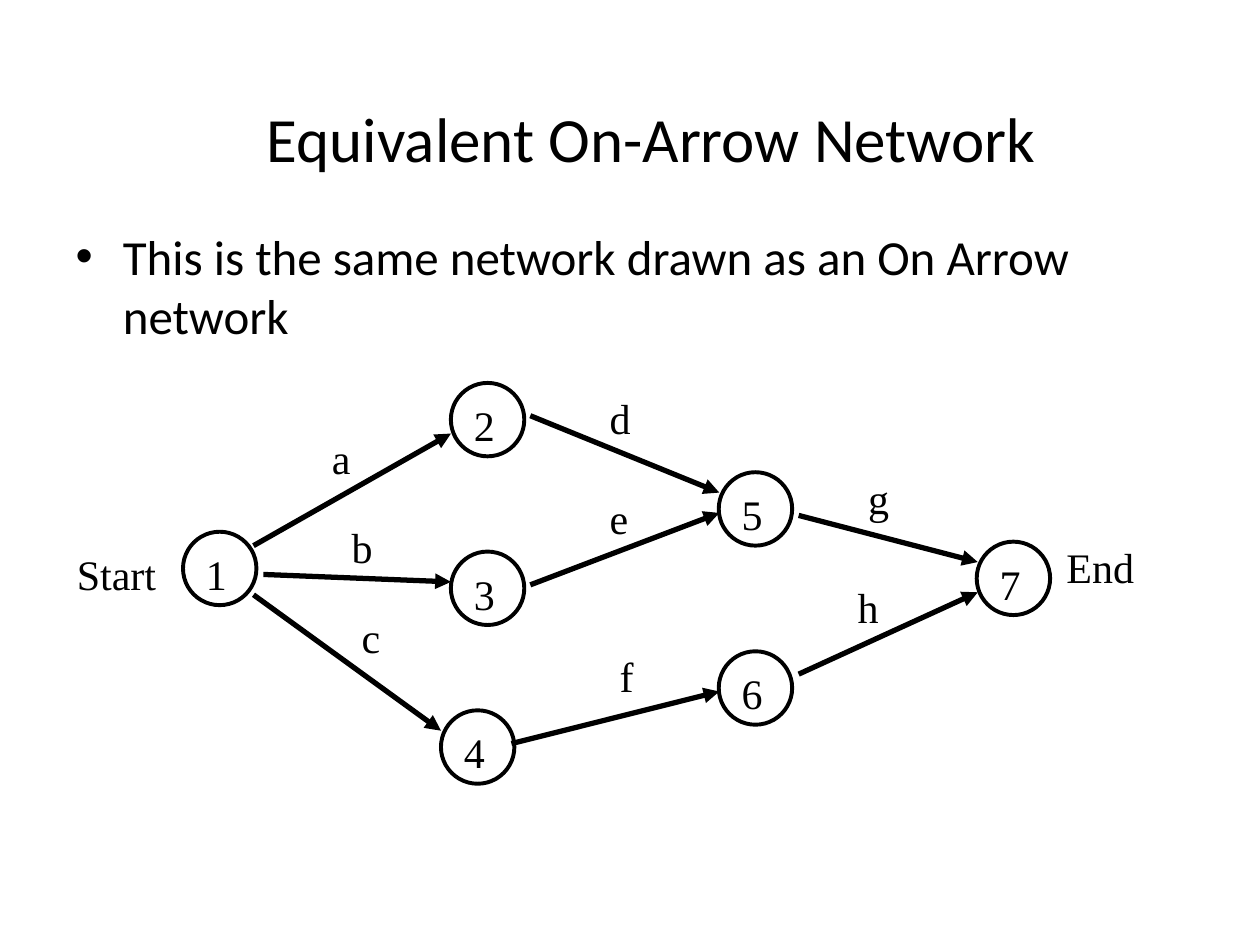
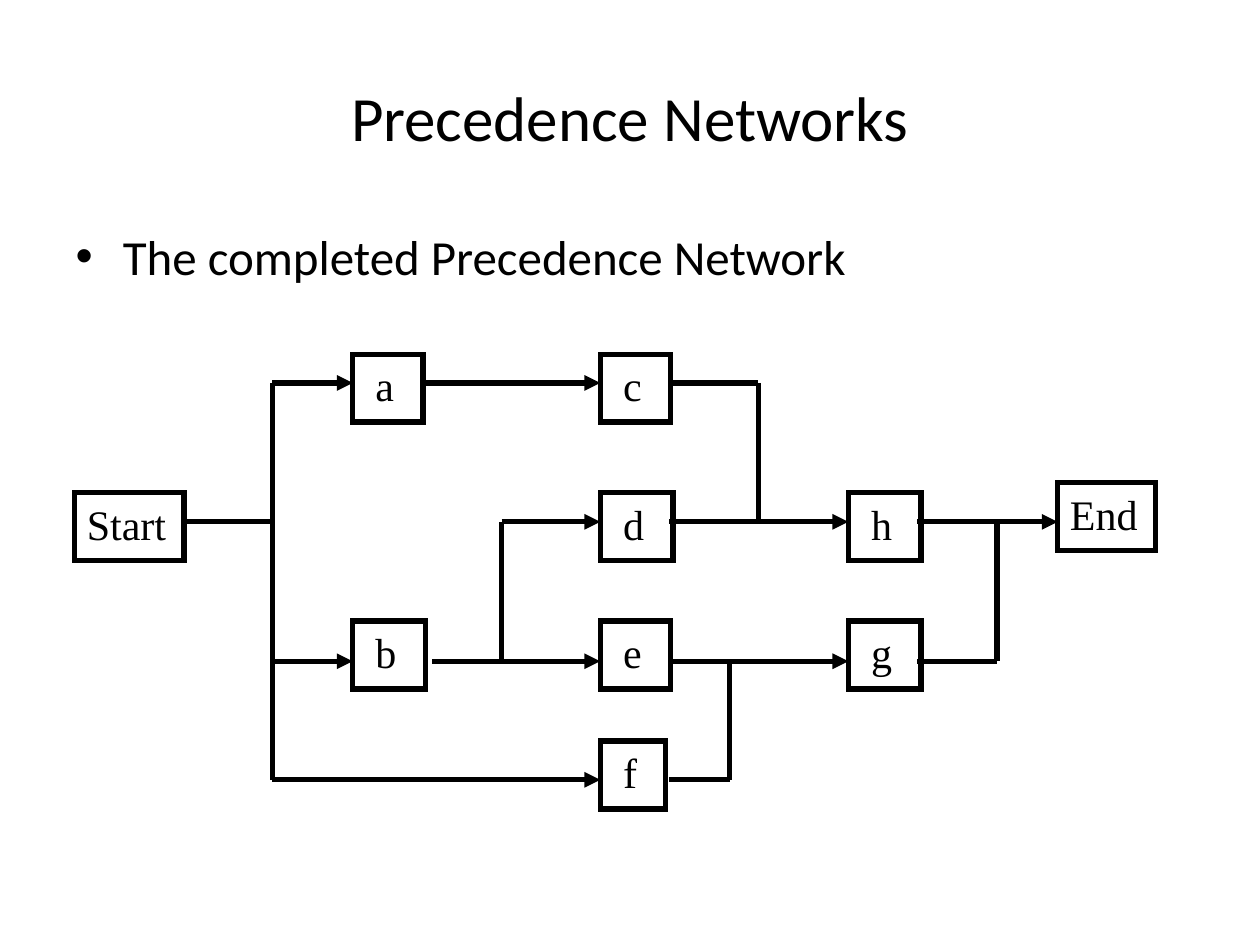
import dataclasses

import pptx
import pptx.dml.color
import pptx.enum.shapes
import pptx.enum.text
import pptx.oxml.ns
import pptx.util
from lxml import etree
from pptx.util import Cm, Pt


@dataclasses.dataclass(frozen=True)
class Theme:
    ink: pptx.dml.color.RGBColor = pptx.dml.color.RGBColor(0, 0, 0)
    heading_font: str = "Calibri"
    diagram_font: str = "Times New Roman"
    title_size: int = 36
    body_size: int = 28
    diagram_size: int = 24
    circle_line: float = 2.25
    heavy_line: float = 3


theme = Theme()
ALIGN = pptx.enum.text.PP_ALIGN
MIDDLE = pptx.enum.text.MSO_ANCHOR.MIDDLE
SHAPES = pptx.enum.shapes.MSO_SHAPE
qualify = pptx.oxml.ns.qn


def write(shape, text, size, font_name, alignment):
    shape.text_frame.text = text
    paragraph = shape.text_frame.paragraphs[0]
    paragraph.alignment = alignment
    font = paragraph.runs[0].font
    font.size, font.name = Pt(size), font_name
    font.color.rgb = theme.ink


def add_line(slide, start, end, arrow):
    """Draw a heavy line between two (x, y) points in cm."""
    line = slide.shapes.add_connector(
        pptx.enum.shapes.MSO_CONNECTOR.STRAIGHT, *[Cm(value) for value in start + end])
    line.line.width = Pt(theme.heavy_line)
    line.line.color.rgb = theme.ink
    properties = line._element.spPr
    if arrow:
        etree.SubElement(properties.find(qualify("a:ln")), qualify("a:tailEnd"), type="triangle")
    etree.SubElement(properties, qualify("a:effectLst"))


presentation = pptx.Presentation()
presentation.slide_width, presentation.slide_height = Cm(25.4), Cm(19.05)

# Titles and lists
pages = [
    ("Equivalent On-Arrow Network",
     "This is the same network drawn as an On Arrow network", 1.7, 1.18),
    ("Precedence Networks", "The completed Precedence Network", 1.27, 0.76),
]
for title_text, body_text, title_left, title_top in pages:
    slide = presentation.slides.add_slide(presentation.slide_layouts[1])
    title, body = slide.placeholders
    title.left, title.top = Cm(title_left), Cm(title_top)
    title.width, title.height = Cm(22.86), Cm(3.18)
    body.left, body.top, body.width, body.height = Cm(1.27), Cm(4.44), Cm(22.86), Cm(12.57)
    write(title, title_text, theme.title_size, theme.heading_font, ALIGN.CENTER)
    write(body, body_text, theme.body_size, theme.heading_font, ALIGN.LEFT)
arrow_slide, precedence_slide = presentation.slides

# On-arrow network: numbered events
diameter = 1.48
event_centres = [(4.43, 11.46), (9.83, 8.46), (9.83, 11.86), (9.63, 15.06),
                 (15.23, 10.26), (15.23, 13.87), (20.43, 11.66)]
for number, (x, y) in enumerate(event_centres, start=1):
    event = arrow_slide.shapes.add_shape(
        SHAPES.OVAL, Cm(x - diameter / 2), Cm(y - diameter / 2), Cm(diameter), Cm(diameter))
    event.shadow.inherit = False
    event.fill.background()
    event.line.color.rgb = theme.ink
    event.line.width = Pt(theme.circle_line)
    frame = event.text_frame
    frame.word_wrap = False
    frame.vertical_anchor = MIDDLE
    frame.margin_left = frame.margin_bottom = 0
    frame.margin_right, frame.margin_top = Cm(0.13), Cm(0.2)
    write(event, str(number), theme.diagram_size, theme.diagram_font, ALIGN.CENTER)

activity_arrows = [
    ((5.11, 11), (9.09, 8.74)), ((5.31, 11.58), (9.09, 11.73)),
    ((5.11, 11.99), (8.89, 14.73)), ((10.69, 8.38), (14.5, 9.93)),
    ((10.69, 11.79), (14.5, 10.34)), ((10.31, 14.99), (14.5, 13.94)),
    ((16.1, 13.59), (19.71, 11.94)), ((16.1, 10.39), (19.71, 11.33)),
]
for start, end in activity_arrows:
    add_line(arrow_slide, start, end, arrow=True)

labels = [
    ("Start", 1.3, 10.94, 2.11), ("End", 21.25, 10.8, 1.88),
    ("a", 6.44, 8.59, 0.89), ("b", 6.84, 10.39, 0.94), ("c", 7.04, 12.2, 0.89),
    ("d", 12.04, 7.79, 0.94), ("e", 12.04, 9.8, 0.89), ("f", 12.24, 12.98, 0.79),
    ("g", 17.25, 9.4, 0.94), ("h", 17.04, 11.59, 0.94),
]
for text, left, top, width in labels:
    label = arrow_slide.shapes.add_textbox(Cm(left), Cm(top), Cm(width), Cm(1.27))
    label.text_frame.word_wrap = False
    write(label, text, theme.diagram_size, theme.diagram_font, ALIGN.LEFT)

# Precedence network: boxes
box_height = 1.37
top_boxes, main_boxes, lower_boxes, bottom_boxes = 7.14, 9.93, 12.52, 14.94
first_column, second_column, third_column, end_column = 7.11, 12.1, 17.1, 21.32
box_places = [
    ("Start", 1.5, main_boxes, 2.21), ("End", end_column, 9.73, 1.98),
    ("a", first_column, top_boxes, 1.42), ("b", first_column, lower_boxes, 1.47),
    ("c", second_column, top_boxes, 1.42), ("d", second_column, main_boxes, 1.47),
    ("e", second_column, lower_boxes, 1.42), ("f", second_column, bottom_boxes, 1.32),
    ("g", third_column, lower_boxes, 1.47), ("h", third_column, main_boxes, 1.47),
]
for text, left, top, width in box_places:
    box = precedence_slide.shapes.add_shape(
        SHAPES.RECTANGLE, Cm(left), Cm(top), Cm(width), Cm(box_height))
    box.shadow.inherit = False
    box.fill.background()
    box.line.color.rgb = theme.ink
    box.line.width = Pt(theme.heavy_line)
    etree.SubElement(box._element.spPr.find(qualify("a:ln")), qualify("a:miter"), lim="800000")
    frame = box.text_frame
    frame.word_wrap = True
    frame.vertical_anchor = MIDDLE
    frame.margin_left = Cm(0.46 if len(text) == 1 else 0.25)
    frame.margin_right = 0
    frame.margin_bottom = Cm(0.25)
    write(box, text, theme.diagram_size, theme.diagram_font, ALIGN.LEFT)

# Precedence network: lines run slightly off the middles of the boxes
top_line, main_line, lower_line, bottom_line = 7.72, 10.52, 13.33, 15.72
start_trunk, b_fork, c_drop, f_merge, g_merge = 5.49, 10.11, 15.29, 14.71, 20.1
trunk_split = 10.72
second_exit, third_exit = 13.49, 18.49

horizontal_lines = [
    (top_line, start_trunk, first_column, True),
    (top_line, 8.51, second_column, True),
    (top_line, second_exit, c_drop, False),
    (main_line, 3.71, start_trunk, False),
    (main_line, b_fork, second_column, True),
    (main_line, second_exit, third_column, True),
    (main_line, third_exit, end_column, True),
    (lower_line, start_trunk, first_column, True),
    (lower_line, 8.71, second_column, True),
    (lower_line, second_exit, third_column, True),
    (lower_line, third_exit, g_merge, False),
    (bottom_line, start_trunk, second_column, True),
    (bottom_line, second_exit, f_merge, False),
]
for y, left, right, arrow in horizontal_lines:
    add_line(precedence_slide, (left, y), (right, y), arrow)

vertical_lines = [
    (start_trunk, trunk_split, top_line), (start_trunk, trunk_split, bottom_line),
    (b_fork, lower_line, main_line), (c_drop, top_line, main_line),
    (f_merge, bottom_line, lower_line), (g_merge, lower_line, main_line),
]
for x, start_y, end_y in vertical_lines:
    add_line(precedence_slide, (x, start_y), (x, end_y), arrow=False)

presentation.save("out.pptx")
